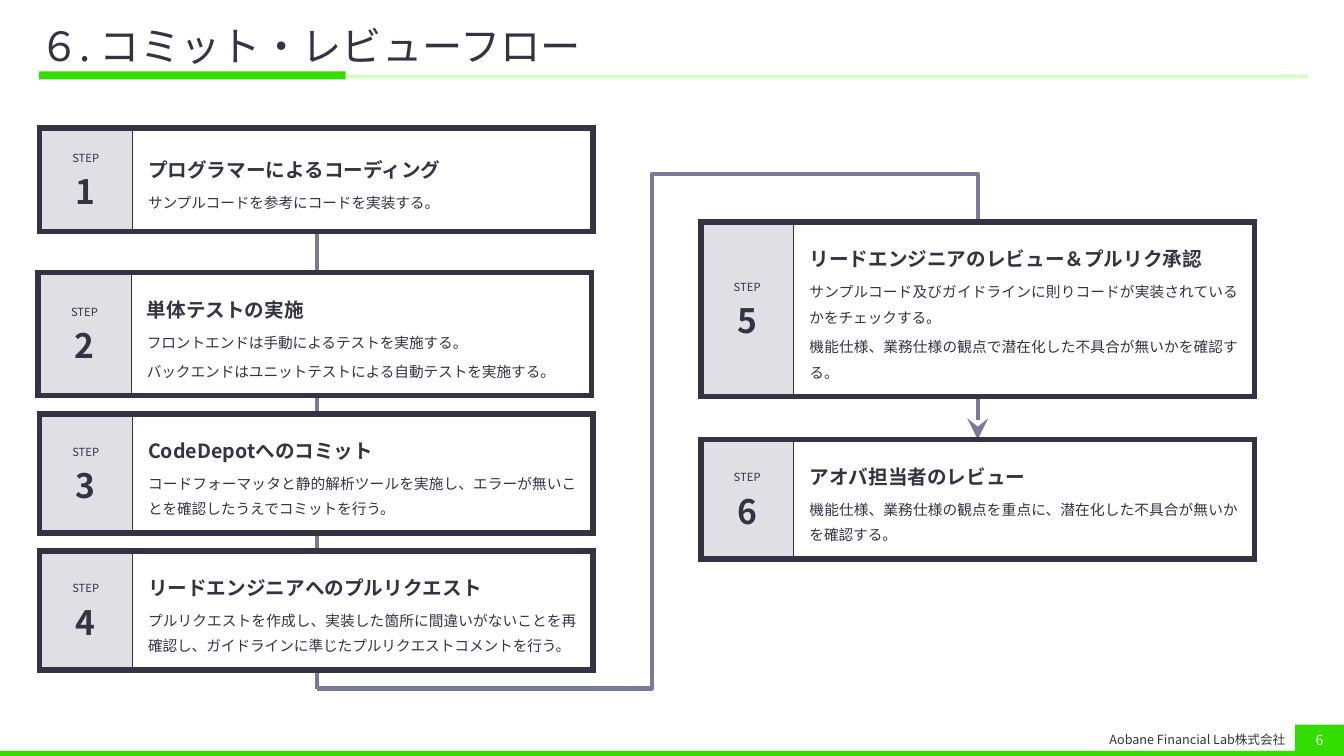
from lxml.etree import SubElement
from pptx import Presentation
from pptx.dml.color import RGBColor
from pptx.enum.shapes import MSO_CONNECTOR, MSO_SHAPE
from pptx.enum.text import MSO_ANCHOR, PP_ALIGN
from pptx.oxml.ns import qn
from pptx.util import Cm, Pt

GREEN = RGBColor(0x33, 0xDD, 0x00)
PALE_GREEN = RGBColor(0xD3, 0xFF, 0xC5)
INK = RGBColor(0x33, 0x33, 0x44)
GREY = RGBColor(0xE0, 0xE0, 0xE4)
FLOW = RGBColor(0x79, 0x79, 0x9A)
WHITE = RGBColor(0xFF, 0xFF, 0xFF)
FONT = "Noto Sans CJK JP"
WIDTH, HEIGHT = 33.87, 19.05
NUMBER_WIDTH, CARD_WIDTH = 2.34, 13.95
THICK, THIN = 4.5, 0.5

STEPS = [
    (1, 0.99, 3.23, 2.6, "プログラマーによるコーディング",
     ["サンプルコードを参考にコードを実装する。"]),
    (2, 0.96, 6.87, 3.1, "単体テストの実施",
     ["フロントエンドは手動によるテストを実施する。",
      "バックエンドはユニットテストによる自動テストを実施する。"]),
    (3, 0.99, 10.43, 3.0, "CodeDepotへのコミット",
     ["コードフォーマッタと静的解析ツールを実施し、エラーが無いことを確認したうえでコミットを行う。"]),
    (4, 0.99, 13.88, 3.0, "リードエンジニアへのプルリクエスト",
     ["プルリクエストを作成し、実装した箇所に間違いがないことを再確認し、"
      "ガイドラインに準じたプルリクエストコメントを行う。"]),
    (5, 17.66, 5.59, 4.4, "リードエンジニアのレビュー＆プルリク承認",
     ["サンプルコード及びガイドラインに則りコードが実装されているかをチェックする。",
      "機能仕様、業務仕様の観点で潜在化した不具合が無いかを確認する。"]),
    (6, 17.66, 11.08, 3.0, "アオバ担当者のレビュー",
     ["機能仕様、業務仕様の観点を重点に、潜在化した不具合が無いかを確認する。"]),
]


def apply(obj, formats):
    for name, value in formats.items():
        setattr(obj, name, value)


def write(tf, lines, **formats):
    for i, (text, size, bold, color) in enumerate(lines):
        p = tf.paragraphs[0] if i == 0 else tf.add_paragraph()
        apply(p, formats)
        r = p.add_run()
        r.text = text
        apply(r.font, {"name": FONT, "size": Pt(size), "bold": bold})
        r.font.color.rgb = color
        SubElement(r.font._element, qn("a:ea"), typeface=FONT)


def add_bar(s, x, y, w, h, color):
    sp = s.shapes.add_shape(MSO_SHAPE.RECTANGLE, Cm(x), Cm(y), Cm(w), Cm(h))
    sp.shadow.inherit = False
    sp.fill.solid()
    sp.fill.fore_color.rgb = color
    sp.line.fill.background()
    return sp


def add_header(s, x, y, w):
    add_bar(s, x, y + 1.29, 7.72, 0.2, GREEN)
    add_bar(s, x + 7.72, y + 1.37, w - 7.72, 0.1, PALE_GREEN)
    title = s.shapes.title
    apply(title, {"left": Cm(x), "top": Cm(y), "width": Cm(w), "height": Cm(1.42)})
    tf = title.text_frame
    apply(tf, {"margin_left": 0, "margin_right": Cm(0.4), "margin_top": Cm(0.13),
               "margin_bottom": Cm(0.13), "vertical_anchor": MSO_ANCHOR.MIDDLE})
    write(tf, [("６. コミット・レビューフロー", 28.8, False, INK)],
          alignment=PP_ALIGN.LEFT, line_spacing=0.9)


def add_footer(s, y):
    add_bar(s, 0, HEIGHT - 0.13, WIDTH, 0.13, GREEN)
    box = s.shapes.add_textbox(Cm(26.58), Cm(y + 0.03), Cm(6.06), Cm(0.69))
    page = add_bar(s, 32.64, y, WIDTH - 32.64, HEIGHT - y, GREEN)
    for sp, text, size, color, align in (
            (box, "Aobane Financial Lab株式会社", 9, INK, PP_ALIGN.RIGHT),
            (page, "6", 10, WHITE, PP_ALIGN.CENTER)):
        tf = sp.text_frame
        apply(tf, {"word_wrap": True, "vertical_anchor": MSO_ANCHOR.MIDDLE})
        write(tf, [(text, size, False, color)], alignment=align)


def add_flow_line(s, kind, x1, y1, x2, y2):
    c = s.shapes.add_connector(kind, Cm(x1), Cm(y1), Cm(x2), Cm(y2))
    c.line.color.rgb = FLOW
    c.line.width = Pt(3)
    SubElement(c._element.spPr, qn("a:effectLst"))
    return c


def add_flow(s, left, right):
    arrow = add_flow_line(s, MSO_CONNECTOR.STRAIGHT, right, 5.66, right, 11.07)
    SubElement(arrow.line._get_or_add_ln(), qn("a:tailEnd"),
               type="stealth", w="lg", len="lg")
    bend = add_flow_line(s, MSO_CONNECTOR.ELBOW, left, 17.35, right, 5.59)
    geometry = bend._element.spPr.find(qn("a:prstGeom"))
    geometry.set("prst", "bentConnector4")
    guides = geometry.find(qn("a:avLst"))
    for name, value in (("adj1", 50700), ("adj2", 110200)):
        SubElement(guides, qn("a:gd"), name=name, fmla=f"val {value}")
    add_flow_line(s, MSO_CONNECTOR.STRAIGHT, left, 3.23, left, 17.35)


def format_cell(cell, fill, margins, left, right):
    tcPr = cell._tc.get_or_add_tcPr()
    for side, width in zip("LRTB", (left, right, THICK, THICK)):
        ln = SubElement(tcPr, qn(f"a:ln{side}"), w=str(Pt(width)))
        SubElement(SubElement(ln, qn("a:solidFill")), qn("a:srgbClr"), val=str(INK))
    cell.fill.solid()
    cell.fill.fore_color.rgb = fill
    cell.vertical_anchor = MSO_ANCHOR.MIDDLE
    sides = ("margin_left", "margin_top", "margin_right", "margin_bottom")
    apply(cell, {side: Cm(m) for side, m in zip(sides, margins)})


def add_step(s, number, x, y, h, heading, details):
    table = s.shapes.add_table(1, 2, Cm(x), Cm(y), Cm(CARD_WIDTH), Cm(h)).table
    apply(table, {"first_row": False, "horz_banding": False})
    table.columns[0].width = Cm(NUMBER_WIDTH)
    table.columns[1].width = Cm(CARD_WIDTH - NUMBER_WIDTH)
    label, body = table.cell(0, 0), table.cell(0, 1)
    format_cell(label, GREY, (0, 0.2, 0, 0.1), THICK, THIN)
    write(label.text_frame, [("STEP", 8, False, INK), (str(number), 24, True, INK)],
          alignment=PP_ALIGN.CENTER)
    format_cell(body, WHITE, (0.4, 0.4, 0.4, 0.35), THIN, THICK)
    write(body.text_frame,
          [(heading, 14, True, INK)] + [(d, 10.5, False, INK) for d in details],
          alignment=PP_ALIGN.JUSTIFY, line_spacing=1.2, space_after=Pt(3))


def main():
    prs = Presentation()
    apply(prs, {"slide_width": Cm(WIDTH), "slide_height": Cm(HEIGHT)})
    s = prs.slides.add_slide(prs.slide_layouts[5])
    add_header(s, 0.99, 0.51, 31.98)
    add_footer(s, 18.26)
    add_flow(s, 7.98, 24.64)
    for step in STEPS:
        add_step(s, *step)
    prs.save("out.pptx")


if __name__ == "__main__":
    main()
